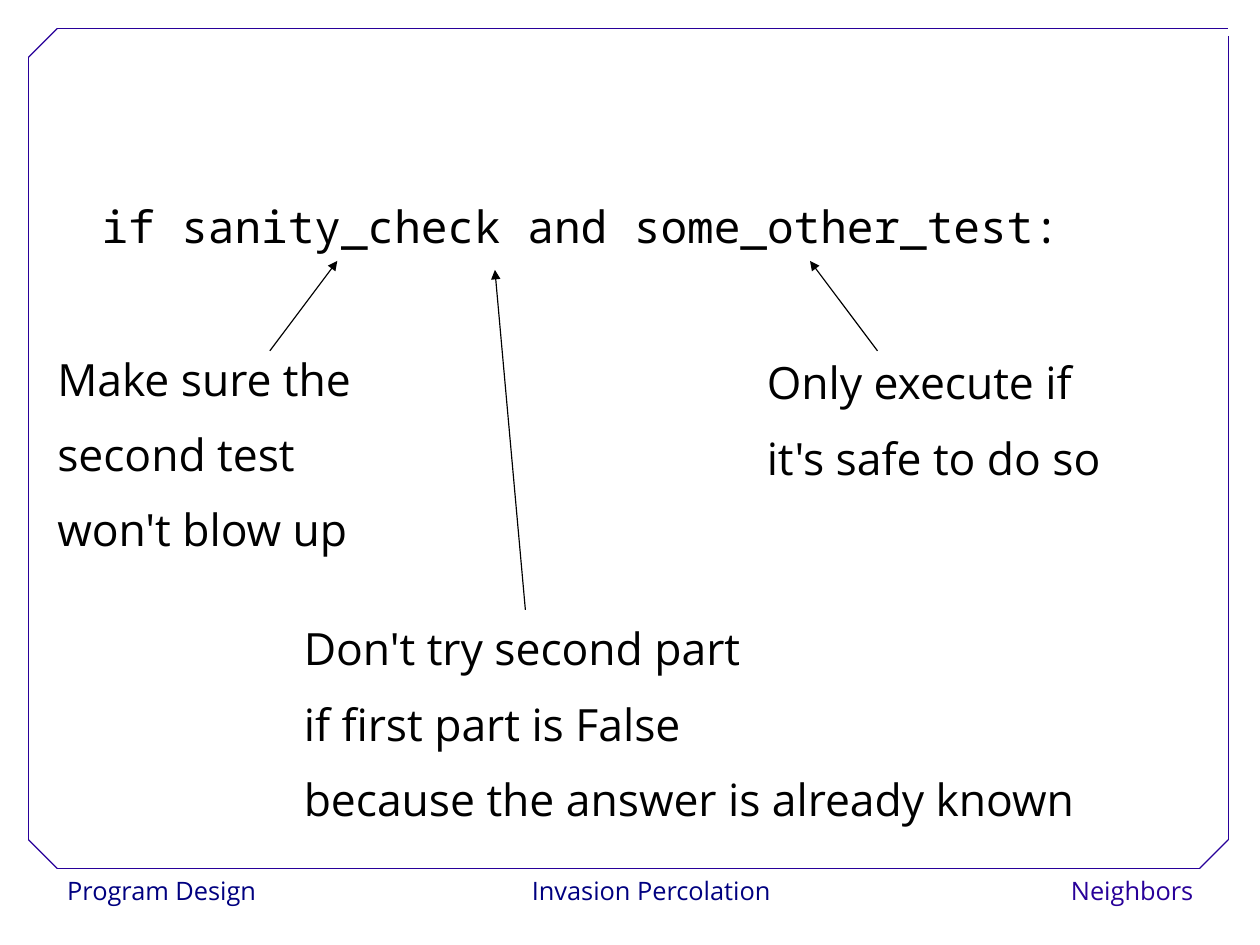
from lxml.etree import SubElement
from pptx import Presentation
from pptx.dml.color import RGBColor
from pptx.enum.shapes import MSO_CONNECTOR, MSO_SHAPE
from pptx.enum.text import MSO_ANCHOR, PP_ALIGN
from pptx.oxml.ns import qn
from pptx.util import Pt

BLACK = RGBColor(0x00, 0x00, 0x00)
WHITE = RGBColor(0xFF, 0xFF, 0xFF)
NAVY = RGBColor(0x00, 0x00, 0x80)
VIOLET = RGBColor(0x28, 0x00, 0x99)
SANS = "Open Sans"
MONO = "Noto Sans Mono"


def write(tf, text, size=28, font=SANS, color=BLACK, align=PP_ALIGN.LEFT,
          first=0.93, rest=1.4):
    """Fill a text frame, one paragraph a line of text."""
    tf.word_wrap = False
    tf.vertical_anchor = MSO_ANCHOR.TOP
    for i, line in enumerate(text.split("\n")):
        p = tf.add_paragraph() if i else tf.paragraphs[0]
        p.alignment = align
        p.line_spacing = rest if i else first
        r = p.add_run()
        r.text = line
        r.font.size = Pt(size)
        r.font.name = font
        r.font.color.rgb = color


class Canvas:
    """The current slide and its line style."""

    def __init__(self, slide, line_width=0.75):
        self.shapes = slide.shapes
        self.line_width = line_width

    def text(self, box, text, **fmt):
        sp = self.shapes.add_textbox(*map(Pt, box))
        write(sp.text_frame, text, **fmt)

    def label(self, box, text, **fmt):
        sp = self.shapes.add_shape(MSO_SHAPE.RECTANGLE, *map(Pt, box))
        sp.shadow.inherit = False
        sp.fill.solid()
        sp.fill.fore_color.rgb = WHITE
        sp.line.fill.background()
        write(sp.text_frame, text, size=16, first=1.02, **fmt)

    def line(self, start, end, color=VIOLET, arrow=False):
        cn = self.shapes.add_connector(MSO_CONNECTOR.STRAIGHT,
                                       *map(Pt, (*start, *end)))
        cn.line.color.rgb = color
        cn.line.width = Pt(self.line_width)
        sp_pr = cn._element.spPr
        if arrow:
            SubElement(sp_pr.find(qn("a:ln")), qn("a:tailEnd"), type="triangle")
        SubElement(sp_pr, qn("a:effectLst"))


def main():
    prs = Presentation()
    prs.slide_width, prs.slide_height = Pt(793.75), Pt(595.25)
    s = Canvas(prs.slides.add_slide(prs.slide_layouts[6]))

    # Footer
    s.label((35.3, 547.2, 129.6, 28.8), "Program Design", color=NAVY)
    s.label((329.6, 547.2, 161.3, 28.8), "Invasion Percolation", color=NAVY,
            align=PP_ALIGN.CENTER)
    s.label((658.1, 547.2, 100.8, 28.8), "Neighbors", color=VIOLET,
            align=PP_ALIGN.RIGHT)

    # Frame with three cut corners
    left, top, right, bottom, cut = 18, 18, 773.8, 547, 18
    for start, end in (
        ((left + cut, bottom), (right - cut, bottom)),
        ((left, bottom - cut), (left, top + cut)),
        ((left + cut, top), (right, top)),
        ((right, bottom - cut), (right, 23)),
        ((left, top + cut), (left + cut, top)),
        ((right - cut, bottom), (right, bottom - cut)),
        ((left, bottom - cut), (left + cut, bottom)),
    ):
        s.line(start, end)

    # Code
    s.text((56.9, 113.4, 619.2, 42.5), "if sanity_check and some_other_test:",
           font=MONO, first=1.25)

    # Remarks, each with an arrow to the code
    for box, text, start, end in (
        ((29, 221, 216.7, 150.5),
         "Make sure the\nsecond test\nwon't blow up",
         (170, 221), (212.5, 164.4)),
        ((476, 223.2, 244.8, 96.5),
         "Only execute if\nit's safe to do so",
         (552.8, 221), (510.3, 164.4)),
        ((184.3, 390.8, 547.9, 150.5),
         "Don't try second part\nif first part is False\n"
         "because the answer is already known",
         (331, 384.2), (311.8, 170)),
    ):
        s.text(box, text)
        s.line(start, end, color=BLACK, arrow=True)

    prs.save("out.pptx")


if __name__ == "__main__":
    main()
